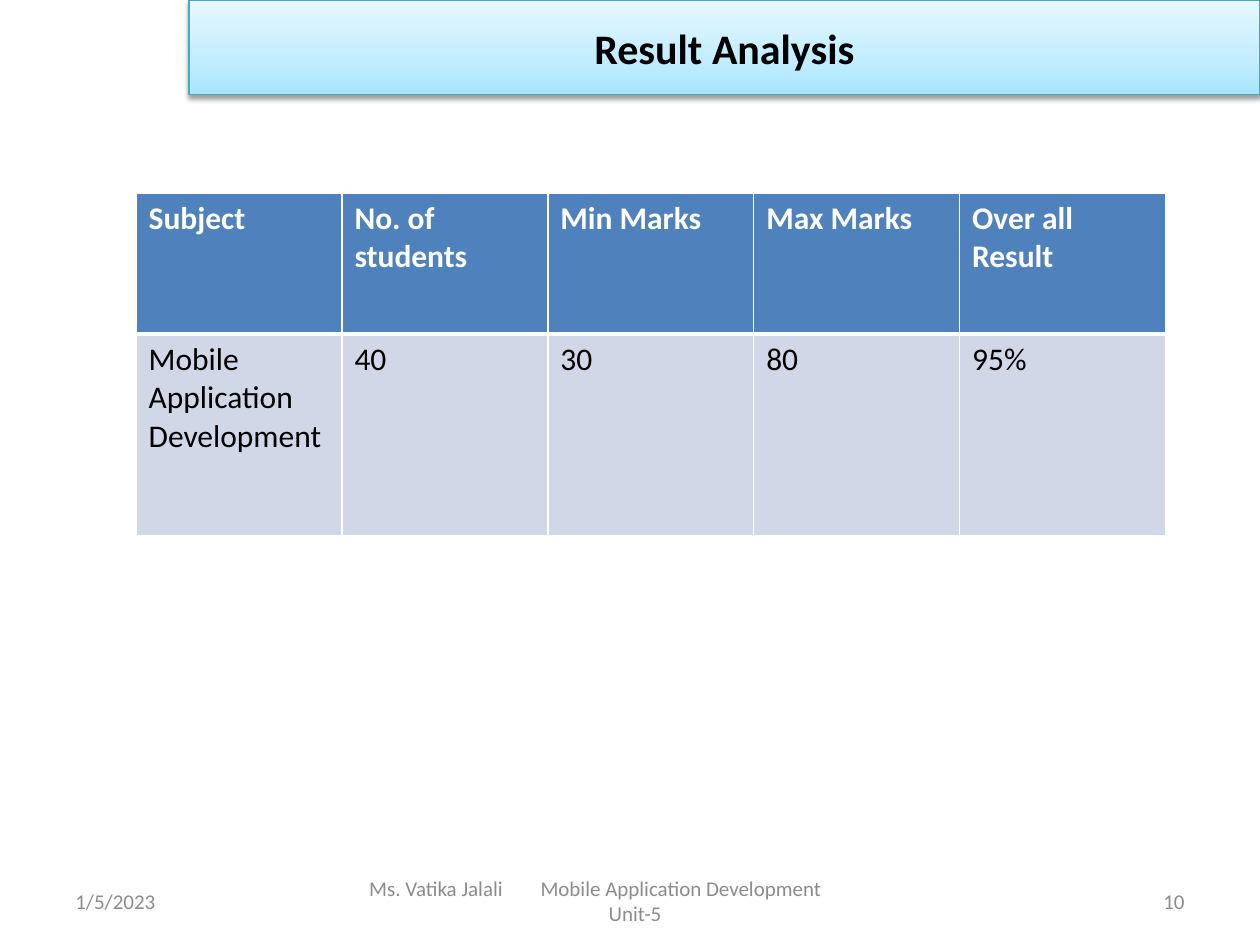
from copy import deepcopy

from lxml.etree import SubElement
from pptx import Presentation
from pptx.dml.color import RGBColor
from pptx.enum.shapes import MSO_SHAPE
from pptx.enum.text import MSO_ANCHOR, PP_ALIGN
from pptx.oxml.ns import qn
from pptx.util import Inches, Pt

COLORS = {
    "text": "000000",
    "white": "FFFFFF",
    "footer": "8C8C8C",
    "banner_line": "46AAC5",
    "header_row": "4F81BD",
    "body_row": "D0D8E8",
}
BANNER_STOPS = [(0, "A7E6FF"), (0.35, "C1EDFF"), (1, "E7F8FF")]


def write(frame, text, size=12, color="footer", bold=False,
          align=PP_ALIGN.LEFT, anchor=MSO_ANCHOR.MIDDLE):
    """Fill a text frame, one paragraph for each line of text."""
    frame.word_wrap = True
    frame.vertical_anchor = anchor
    frame.text = text
    for paragraph in frame.paragraphs:
        paragraph.alignment = align
        font = paragraph.font
        font.name, font.size, font.bold = "Calibri", Pt(size), bold
        font.color.rgb = RGBColor.from_string(COLORS[color])


def add_border(cell, side, width):
    """Draw one white edge of a table cell; side is L, R, T or B."""
    line = SubElement(cell._tc.get_or_add_tcPr(), qn(f"a:ln{side}"), w=str(Pt(width)))
    fill = SubElement(line, qn("a:solidFill"))
    SubElement(fill, qn("a:srgbClr"), val=COLORS["white"])


prs = Presentation()
prs.slide_width, prs.slide_height = Inches(10), Inches(7.5)
slide = prs.slides.add_slide(prs.slide_layouts[6])

# Title banner with a three-stop gradient, rising from the bottom edge
banner = slide.shapes.add_shape(
    MSO_SHAPE.RECTANGLE, Inches(1.5), 0, Inches(8.5), Inches(0.75))
banner.fill.gradient()
banner.fill.gradient_angle = 90
stop_list = banner._element.spPr.find(qn("a:gradFill")).find(qn("a:gsLst"))
stop_list.append(deepcopy(stop_list[0]))
for stop, (position, color) in zip(banner.fill.gradient_stops, BANNER_STOPS):
    stop.position = position
    stop.color.rgb = RGBColor.from_string(color)
banner.line.color.rgb = RGBColor.from_string(COLORS["banner_line"])
banner.line.width = Pt(0.75)
write(banner.text_frame, "Result Analysis", size=24, color="text", bold=True,
      align=PP_ALIGN.CENTER)

# Soft shadow below the banner
banner.shadow.inherit = False
shadow = SubElement(
    banner._element.spPr.find(qn("a:effectLst")), qn("a:outerShdw"),
    blurRad=str(Pt(3.1)), dist=str(Pt(1.6)), dir="5400000", rotWithShape="0")
shadow_color = SubElement(shadow, qn("a:srgbClr"), val=COLORS["text"])
SubElement(shadow_color, qn("a:alpha"), val="38000")

# Results table
results = [
    ["Subject", "No. of students", "Min Marks", "Max Marks", "Over all Result"],
    ["Mobile Application Development", "40", "30", "80", "95%"],
]
row_heights = [1.12, 1.6]
table = slide.shapes.add_table(
    len(results), len(results[0]), Inches(1.08), Inches(1.53),
    Inches(8.17), Inches(sum(row_heights))).table
for row, height in zip(table.rows, row_heights):
    row.height = Inches(height)
for r, values in enumerate(results):
    is_header = r == 0
    for c, value in enumerate(values):
        cell = table.cell(r, c)
        write(cell.text_frame, value, size=18, bold=is_header,
              color="white" if is_header else "text", anchor=MSO_ANCHOR.TOP)
        for side in "LRTB":
            on_divider = side == ("B" if is_header else "T")
            add_border(cell, side, 3 if on_divider else 1)
        cell.fill.solid()
        cell.fill.fore_color.rgb = RGBColor.from_string(
            COLORS["header_row" if is_header else "body_row"])

# Footer: date, author with course, page number
footers = [
    (0.5, 2.33, "1/5/2023", PP_ALIGN.LEFT),
    (2.75, 4.58, "Ms. Vatika Jalali\tMobile Application Development\nUnit-5",
     PP_ALIGN.CENTER),
    (7.17, 2.33, "10", PP_ALIGN.RIGHT),
]
for left, width, text, align in footers:
    footer = slide.shapes.add_textbox(
        Inches(left), Inches(6.95), Inches(width), Inches(0.4))
    write(footer.text_frame, text, align=align)
    if "\t" in text:
        # The author line starts at the inset, its course name at a tab stop
        footer.text_frame.margin_left = footer.text_frame.margin_right = Inches(0.18)
        author_line = footer.text_frame.paragraphs[0]
        author_line.alignment = PP_ALIGN.LEFT
        tabs = author_line._p.get_or_add_pPr()
        tab_list = tabs.makeelement(qn("a:tabLst"))
        SubElement(tab_list, qn("a:tab"), pos=str(Inches(1.36)), algn="l")
        tabs.insert(0, tab_list)

prs.save("out.pptx")
